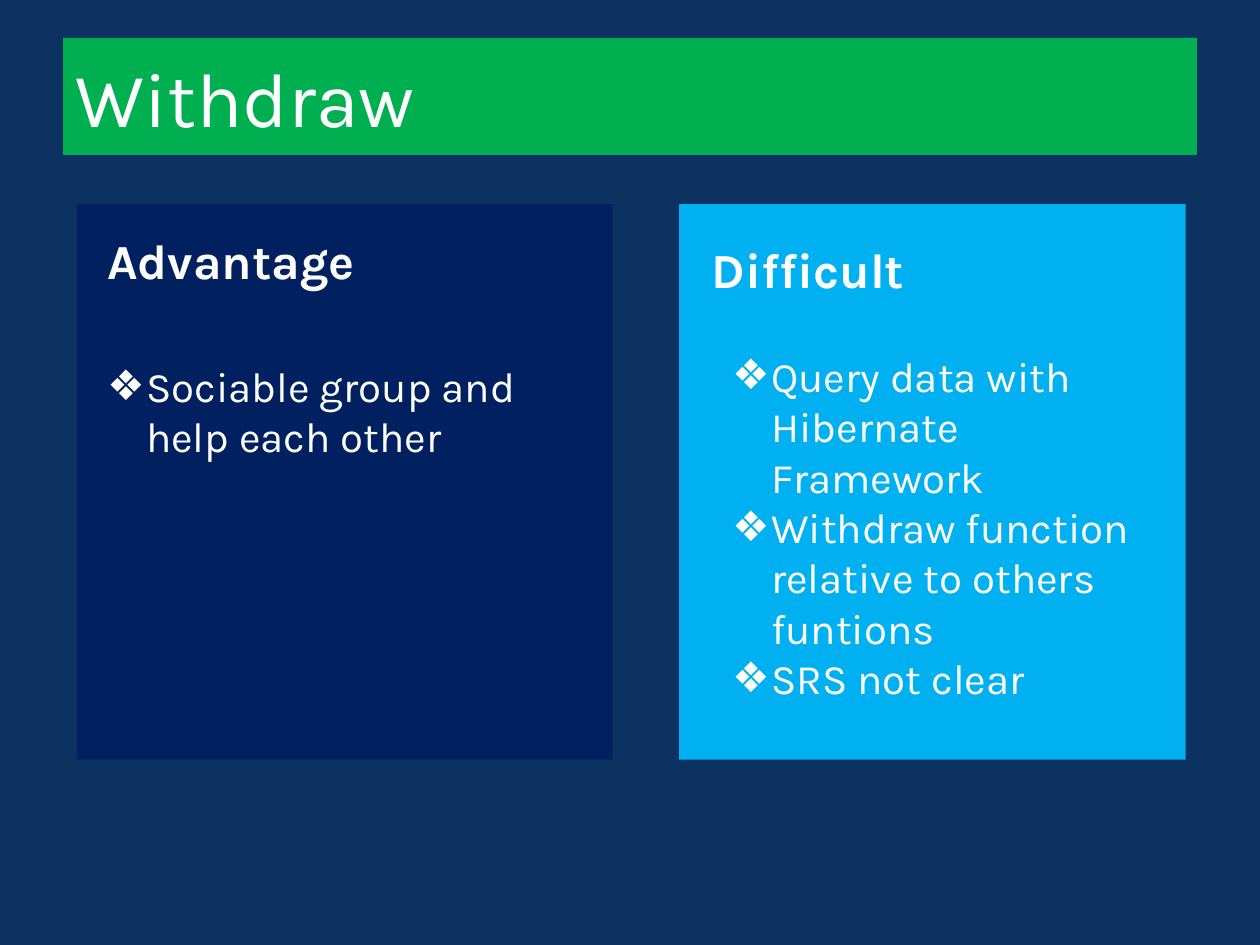
from lxml import etree
from pptx import Presentation
from pptx.dml.color import RGBColor
from pptx.enum import shapes, text
from pptx.oxml.ns import qn
from pptx.util import Inches, Pt

THEME = {
    "font": "Karla",
    "background": "0B3261", "banner": "00B050", "ink": "FFFFFF",
    "title": 44, "heading": 28, "item": 24,
}
TITLE = "Withdraw"
TITLE_BOX = (0.5, 0.3, 9, 0.93)
PANEL_TOP, PANEL_HEIGHT = 1.62, 4.41
HEADING_SIZE = (3.07, 0.57)
BULLET, BULLET_INDENT = "❖", 0.31

# Placeholder numbers belong to the Comparison layout.
PANELS = [
    {"fill": "002060", "left": 0.61, "width": 4.25,
     "heading": "Advantage", "heading_at": (0.75, 1.78), "heading_id": 1,
     "items": ["Sociable group and help each other"],
     "items_box": (0.75, 2.81, 3.94, 1.31), "items_id": 2},
    {"fill": "00B0F0", "left": 5.39, "width": 4.02,
     "heading": "Difficult", "heading_at": (5.55, 1.85), "heading_id": 3,
     "items": ["Query data with Hibernate Framework",
               "Withdraw function relative to others funtions",
               "SRS not clear"],
     "items_box": (5.71, 2.73, 3.54, 2.52), "items_id": 4},
]


def paint(fill, color):
    fill.solid()
    fill.fore_color.rgb = RGBColor.from_string(color)


def add_bullet(paragraph):
    properties = paragraph._p.get_or_add_pPr()
    properties.set("marL", str(Inches(BULLET_INDENT)))
    properties.set("indent", str(-Inches(BULLET_INDENT)))
    etree.SubElement(properties, qn("a:buChar")).set("char", BULLET)


def fill_placeholder(shape, box, lines, size, bold=False, bulleted=False,
                     anchor=text.MSO_ANCHOR.TOP):
    shape.left, shape.top, shape.width, shape.height = map(Inches, box)
    frame = shape.text_frame
    frame.word_wrap = True
    frame.auto_size = text.MSO_AUTO_SIZE.NONE
    frame.vertical_anchor = anchor
    for number, line in enumerate(lines):
        paragraph = frame.add_paragraph() if number else frame.paragraphs[0]
        paragraph.alignment = text.PP_ALIGN.LEFT
        paragraph.space_before = Pt(0)
        if bulleted:
            add_bullet(paragraph)
        run = paragraph.add_run()
        run.text = line
        run.font.name = THEME["font"]
        run.font.size = Pt(size)
        run.font.bold = bold
        run.font.color.rgb = RGBColor.from_string(THEME["ink"])


def add_panel(slide, panel):
    """Add the coloured rectangle behind the placeholders."""
    shape = slide.shapes.add_shape(
        shapes.MSO_SHAPE.RECTANGLE, Inches(panel["left"]), Inches(PANEL_TOP),
        Inches(panel["width"]), Inches(PANEL_HEIGHT))
    paint(shape.fill, panel["fill"])
    shape.line.fill.background()
    shape.shadow.inherit = False
    slide.shapes.title._element.addnext(shape._element)


def main():
    presentation = Presentation()
    presentation.slide_width, presentation.slide_height = Inches(10), Inches(7.5)
    layout = presentation.slide_layouts.get_by_name("Comparison")
    slide = presentation.slides.add_slide(layout)
    paint(slide.background.fill, THEME["background"])

    title = slide.shapes.title
    paint(title.fill, THEME["banner"])
    fill_placeholder(title, TITLE_BOX, [TITLE], THEME["title"],
                     anchor=text.MSO_ANCHOR.MIDDLE)

    placeholders = {shape.placeholder_format.idx: shape
                    for shape in slide.placeholders}
    for panel in PANELS:
        add_panel(slide, panel)
        fill_placeholder(placeholders[panel["heading_id"]],
                         panel["heading_at"] + HEADING_SIZE,
                         [panel["heading"]], THEME["heading"], bold=True)
        fill_placeholder(placeholders[panel["items_id"]], panel["items_box"],
                         panel["items"], THEME["item"], bulleted=True)

    presentation.save("out.pptx")


if __name__ == "__main__":
    main()
